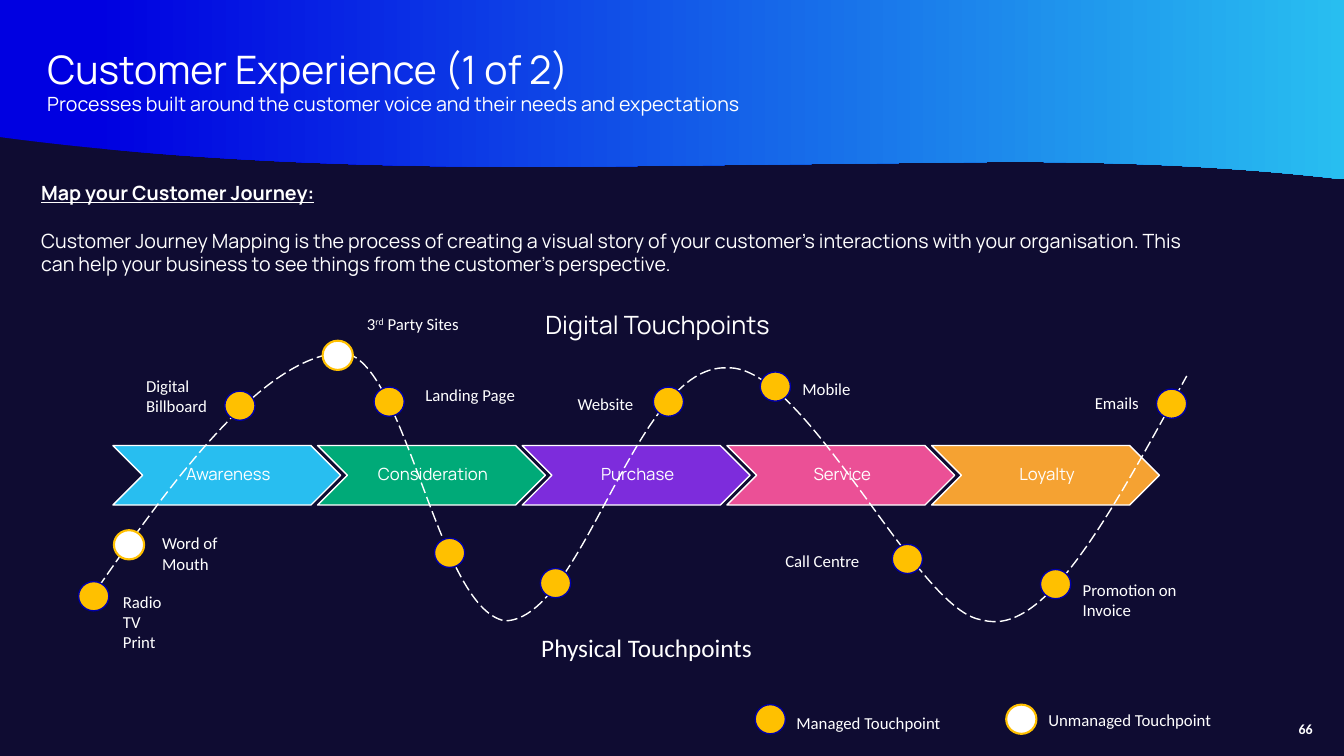
from lxml.etree import SubElement
from pptx import Presentation
from pptx.dml.color import RGBColor
from pptx.enum.dml import MSO_LINE
from pptx.enum.shapes import MSO_SHAPE
from pptx.enum.text import MSO_ANCHOR, MSO_AUTO_SIZE, PP_ALIGN
from pptx.oxml.ns import qn
from pptx.util import Inches, Pt

COLORS = {
    "night": "0F0C32", "white": "FFFFFF", "blue": "0000E1", "sky": "28BEF0",
    "green": "00AA78", "purple": "7D2CDC", "pink": "EB5096",
    "orange": "F5A232", "amber": "FFC000", "navy": "0000A6",
}
STAGES = [("Awareness", "sky"), ("Consideration", "green"),
          ("Purchase", "purple"), ("Service", "pink"), ("Loyalty", "orange")]

# Dot positions: left, top
MANAGED = [(0.78, 5.77), (2.23, 3.88), (3.71, 3.84), (4.31, 5.34),
           (5.36, 5.64), (6.48, 3.84), (7.54, 3.69), (8.85, 5.4),
           (10.32, 5.65), (11.47, 3.86), (7.49, 6.99)]
UNMANAGED = [(3.2, 3.38), (1.13, 5.26), (9.98, 6.99)]

# Labels: text, left, top, width, height
LABELS = [
    ("Radio\nTV\nPrint", 1.12, 5.82, 1.19, 0.71),
    ("Digital Billboard", 1.35, 3.68, 1.19, 0.5),
    ("Word of Mouth", 1.51, 5.24, 1.19, 0.5),
    ("Landing Page", 4.12, 3.77, 1.19, 0.5),
    ("Website", 5.63, 3.86, 1.19, 0.3),
    ("Mobile", 7.86, 3.71, 1.19, 0.3),
    ("Call Centre", 7.69, 5.41, 1.19, 0.3),
    ("Promotion on Invoice", 10.64, 5.7, 1.19, 0.5),
    ("Emails", 10.76, 3.85, 1.19, 0.3),
    ("Managed Touchpoint", 7.8, 7.02, 2.09, 0.3),
    ("Unmanaged Touchpoint", 10.3, 6.99, 2.93, 0.3),
]

# Bezier curves: start point, then two control points and an end point each
BANNER_EDGE = [(13.33, 1.78),
               (12.24, 1.65), (10.96, 1.59), (9.54, 1.61),
               (6.08, 1.65), (6.08, 1.65), (6.08, 1.65),
               (3.66, 1.68), (1.65, 1.58), (0, 1.36)]
JOURNEY = [(0.89, 5.95),
           (1.76, 4.68), (2.61, 3.57), (3.36, 3.5),
           (4.01, 3.45), (4.32, 6.04), (5.01, 6.16),
           (5.79, 6.14), (6.3, 3.61), (7.21, 3.65),
           (7.99, 3.61), (9.1, 6.08), (9.74, 6.15),
           (10.35, 6.33), (10.99, 5.15), (11.77, 3.73)]


def rgb(name):
    return RGBColor.from_string(COLORS[name])


def add_curve(slide, curve, corners=()):
    """Draw Bezier segments; corners close the outline with straight sides."""
    emu = [(Inches(x), Inches(y)) for x, y in curve]
    builder = slide.shapes.build_freeform(*emu[0])
    straight = [(Inches(x), Inches(y)) for x, y in corners]
    builder.add_line_segments(emu[3::3] + straight, close=bool(corners))
    sp = builder.convert_to_shape()
    sp.shadow.inherit = False
    # Turn the first line segments into curves
    for i, segment in enumerate(sp._element.xpath(".//a:lnTo")[:len(curve) // 3]):
        bezier = segment.makeelement(qn("a:cubicBezTo"))
        for x, y in emu[3 * i + 1:3 * i + 4]:
            SubElement(bezier, qn("a:pt"), x=str(x - sp.left), y=str(y - sp.top))
        segment.getparent().replace(segment, bezier)
    return sp


def format_text(tf, size, font="Calibri", bold=False, align=PP_ALIGN.LEFT):
    for p in tf.paragraphs:
        p.alignment = align
        for r in p.runs:
            r.font.size = Pt(size)
            r.font.name = font
            r.font.bold = bold
            r.font.color.rgb = rgb("white")


def add_text(slide, text, left, top, width, height, size=12, wrap=True, **style):
    box = slide.shapes.add_textbox(Inches(left), Inches(top), Inches(width), Inches(height))
    tf = box.text_frame
    tf.word_wrap = wrap
    tf.text = text
    format_text(tf, size, **style)
    return tf


def add_filled(slide, kind, left, top, width, height, fill, line, weight=1):
    sp = slide.shapes.add_shape(kind, Inches(left), Inches(top), Inches(width), Inches(height))
    sp.shadow.inherit = False
    sp.fill.solid()
    sp.fill.fore_color.rgb = rgb(fill)
    sp.line.color.rgb = rgb(line)
    sp.line.width = Pt(weight)
    return sp


def add_dot(slide, left, top, fill, line, weight):
    add_filled(slide, MSO_SHAPE.OVAL, left, top, 0.3, 0.29, fill, line, weight)


def add_stage(slide, index, name, fill):
    sp = add_filled(slide, MSO_SHAPE.CHEVRON, 1.12 + 2.03 * index, 4.42, 2.26, 0.59, fill, "white")
    tf = sp.text_frame
    tf.margin_left = Inches(0.05)
    tf.margin_right = tf.margin_top = tf.margin_bottom = Inches(0.02)
    tf.vertical_anchor = MSO_ANCHOR.MIDDLE
    tf.word_wrap = True
    tf.text = name
    tf.paragraphs[0].line_spacing = 0.9
    format_text(tf, 12, "Manrope", align=PP_ALIGN.CENTER)


def add_banner(slide):
    sp = add_curve(slide, BANNER_EDGE, [(0, 0), (13.33, 0)])
    sp.line.fill.background()
    sp.fill.gradient()
    sp.fill.gradient_angle = 0
    for stop, position, name in zip(sp.fill.gradient_stops, (0.07, 1), ("blue", "sky")):
        stop.position = position
        stop.color.rgb = rgb(name)


def add_title(slide, text):
    title = slide.shapes.title
    title.left, title.top = Inches(0.37), Inches(0.29)
    title.width, title.height = Inches(11.52), Inches(0.84)
    tf = title.text_frame
    tf.text = text
    tf.auto_size = MSO_AUTO_SIZE.NONE
    tf.vertical_anchor = MSO_ANCHOR.MIDDLE
    tf.paragraphs[0].line_spacing = 0.9
    format_text(tf, 28, "Manrope")
    # Bring the title in front of the banner
    slide.shapes._spTree.append(title._element)


def main():
    prs = Presentation()
    prs.slide_width, prs.slide_height = Inches(13.33), Inches(7.5)
    slide = prs.slides.add_slide(prs.slide_layouts[5])
    slide.background.fill.solid()
    slide.background.fill.fore_color.rgb = rgb("night")

    # Header
    add_banner(slide)
    add_title(slide, "Customer Experience (1 of 2)")
    add_text(slide, "Processes built around the customer voice and their needs and expectations",
             0.37, 0.86, 8.68, 0.34, 14, font="Manrope")

    # Introduction
    tf = add_text(slide, "Map your Customer Journey:\n"
                  "Customer Journey Mapping is the process of creating a visual story of your "
                  "customer’s interactions with your organisation. This can help your business "
                  "to see things from the customer’s perspective.",
                  0.31, 1.75, 11.79, 1.04, 14, font="Manrope")
    heading, body = tf.paragraphs
    heading.runs[0].font.bold = True
    heading.runs[0].font.underline = True
    body.space_before = Pt(17)

    # Stages and journey line
    for i, (name, fill) in enumerate(STAGES):
        add_stage(slide, i, name, fill)
    add_text(slide, "Digital Touchpoints", 5.31, 3.02, 2.58, 0.4, 18, wrap=False, font="Manrope")
    add_text(slide, "Physical Touchpoints", 5.27, 6.22, 2.93, 0.4, 18, wrap=False)
    journey = add_curve(slide, JOURNEY)
    journey.fill.background()
    journey.line.color.rgb = rgb("white")
    journey.line.width = Pt(1)
    journey.line.dash_style = MSO_LINE.LONG_DASH

    # Touchpoints and legend
    for left, top in MANAGED:
        add_dot(slide, left, top, "amber", "navy", 1)
    for left, top in UNMANAGED:
        add_dot(slide, left, top, "white", "amber", 1.5)
    for label in LABELS:
        add_text(slide, *label)
    tf = add_text(slide, "3", 3.54, 3.06, 1.19, 0.5)
    p = tf.paragraphs[0]
    ordinal = p.add_run()
    ordinal.text = "rd"
    p.add_run().text = " Party Sites"
    format_text(tf, 12)
    ordinal.font._element.set("baseline", "30000")

    # Page number
    tf = add_text(slide, "66", 12.14, 7.15, 0.88, 0.17, 10, bold=True, align=PP_ALIGN.RIGHT)
    tf.margin_left = tf.margin_right = tf.margin_top = tf.margin_bottom = 0

    prs.save("out.pptx")


if __name__ == "__main__":
    main()
